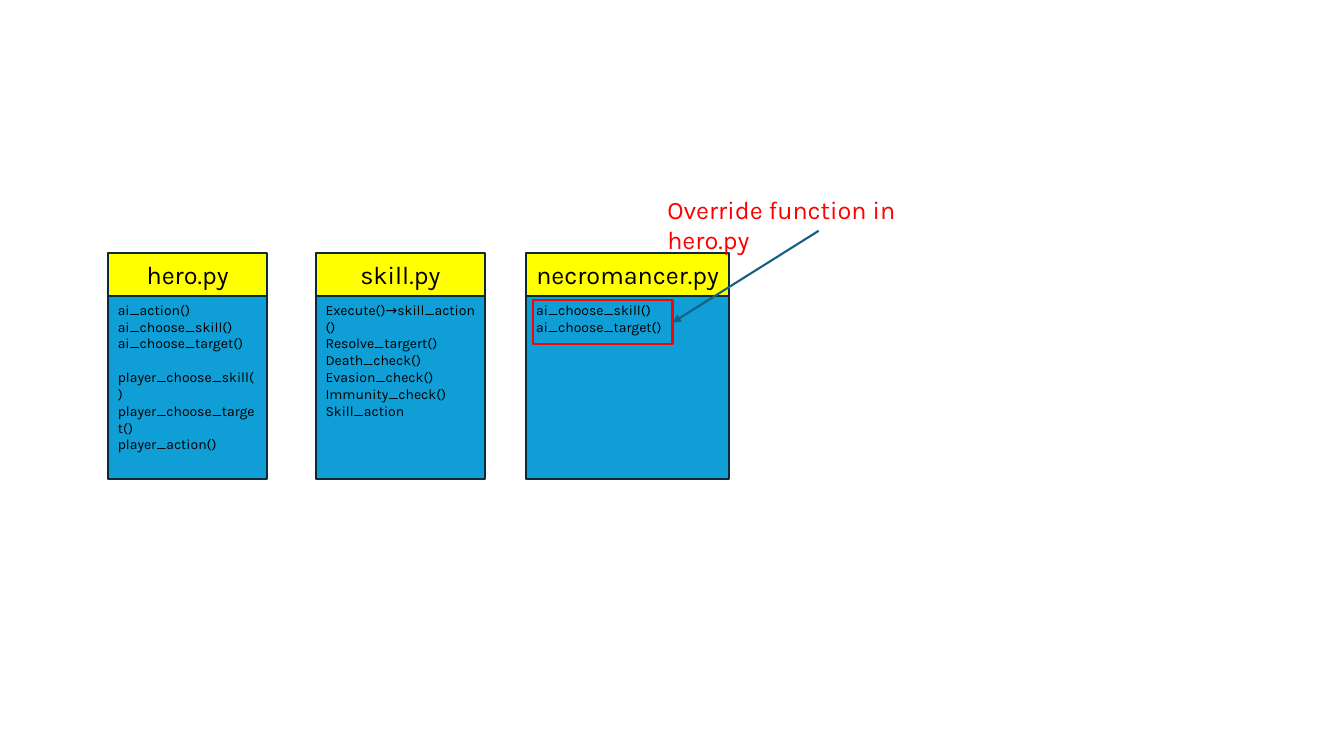
from lxml import etree
from pptx import Presentation
from pptx import util as u
from pptx.dml.color import RGBColor
from pptx.enum import shapes, text
from pptx.oxml.ns import qn

FONT = "Karla"
COLORS = {"head": "FFFF00", "body": "0F9ED5", "border": "092A39",
          "text": "000000", "accent": "FF0000", "arrow": "156082"}
HEAD_TOP, HEAD_HEIGHT, BODY_HEIGHT = 2.51, 0.43, 1.81

# Left, width, file name, groups of functions
FILES = [
    (1.07, 1.58, "hero.py", [
        ["ai_action()", "ai_choose_skill()", "ai_choose_target()"],
        ["player_choose_skill()", "player_choose_target()", "player_action()"]]),
    (3.13, 1.68, "skill.py", [
        ["Execute()→skill_action()", "Resolve_targert()", "Death_check()",
         "Evasion_check()", "Immunity_check()", "Skill_action"]]),
    (5.22, 2.01, "necromancer.py", [["ai_choose_skill()", "ai_choose_target()"]]),
]


def rgb(name):
    return RGBColor.from_string(COLORS[name])


def write(sp, groups, size, color="text", align=text.PP_ALIGN.LEFT,
          anchor=text.MSO_ANCHOR.TOP):
    """Write one paragraph a line, with a line's gap between groups."""
    tf = sp.text_frame
    for name, value in {"word_wrap": True, "vertical_anchor": anchor}.items():
        setattr(tf, name, value)
    for g, lines in enumerate(groups):
        for i, line in enumerate(lines):
            p = tf.paragraphs[0] if g == i == 0 else tf.add_paragraph()
            p.alignment = align
            if g and i == 0:
                p.space_before = u.Pt(12)
            r = p.add_run()
            r.text = line
            for name, value in {"name": FONT, "size": u.Pt(size)}.items():
                setattr(r.font, name, value)
            r.font.color.rgb = rgb(color)


def add_box(s, left, top, width, height, fill=None, line="border"):
    sp = s.shapes.add_shape(shapes.MSO_SHAPE.RECTANGLE,
                            *map(u.Inches, (left, top, width, height)))
    sp.shadow.inherit = False
    if fill:
        sp.fill.solid()
        sp.fill.fore_color.rgb = rgb(fill)
    else:
        sp.fill.background()
    sp.line.color.rgb = rgb(line)
    sp.line.width = u.Pt(1.5)
    return sp


def add_file(s, left, width, title, groups):
    body = add_box(s, left, HEAD_TOP + HEAD_HEIGHT, width, BODY_HEIGHT, "body")
    write(body, groups, 10)
    head = add_box(s, left, HEAD_TOP, width, HEAD_HEIGHT, "head")
    write(head, [[title]], 18, align=text.PP_ALIGN.CENTER,
          anchor=text.MSO_ANCHOR.MIDDLE)


def add_label(s, left, top, width, height, label):
    sp = s.shapes.add_textbox(*map(u.Inches, (left, top, width, height)))
    write(sp, [[label]], 18, "accent")


def add_arrow(s, *ends):
    cn = s.shapes.add_connector(shapes.MSO_CONNECTOR.STRAIGHT,
                                *map(u.Inches, ends))
    cn.line.color.rgb = rgb("arrow")
    cn.line.width = u.Pt(1.5)
    etree.SubElement(cn.line._get_or_add_ln(), qn("a:tailEnd"), type="triangle")
    etree.SubElement(cn._element.spPr, qn("a:effectLst"))


def main():
    prs = Presentation()
    prs.slide_width, prs.slide_height = u.Inches(13.33), u.Inches(7.5)
    s = prs.slides.add_slide(prs.slide_layouts[6])

    # Source files
    for file in FILES:
        add_file(s, *file)

    # Note on the overridden functions
    add_box(s, 5.29, 2.98, 1.38, 0.43, line="accent")
    add_label(s, 6.52, 1.88, 3.2, 0.4, "Override function in hero.py")
    add_arrow(s, 8.12, 2.29, 6.67, 3.2)

    prs.save("out.pptx")


if __name__ == "__main__":
    main()
